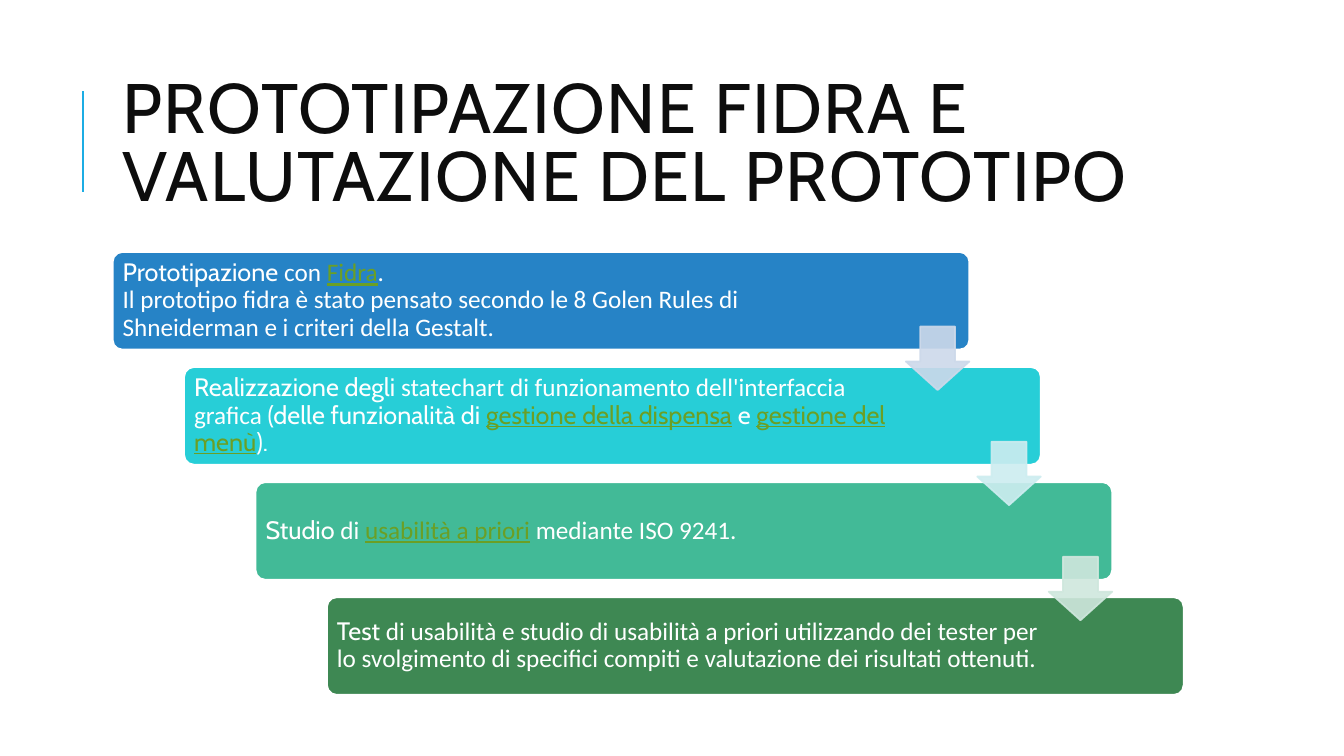
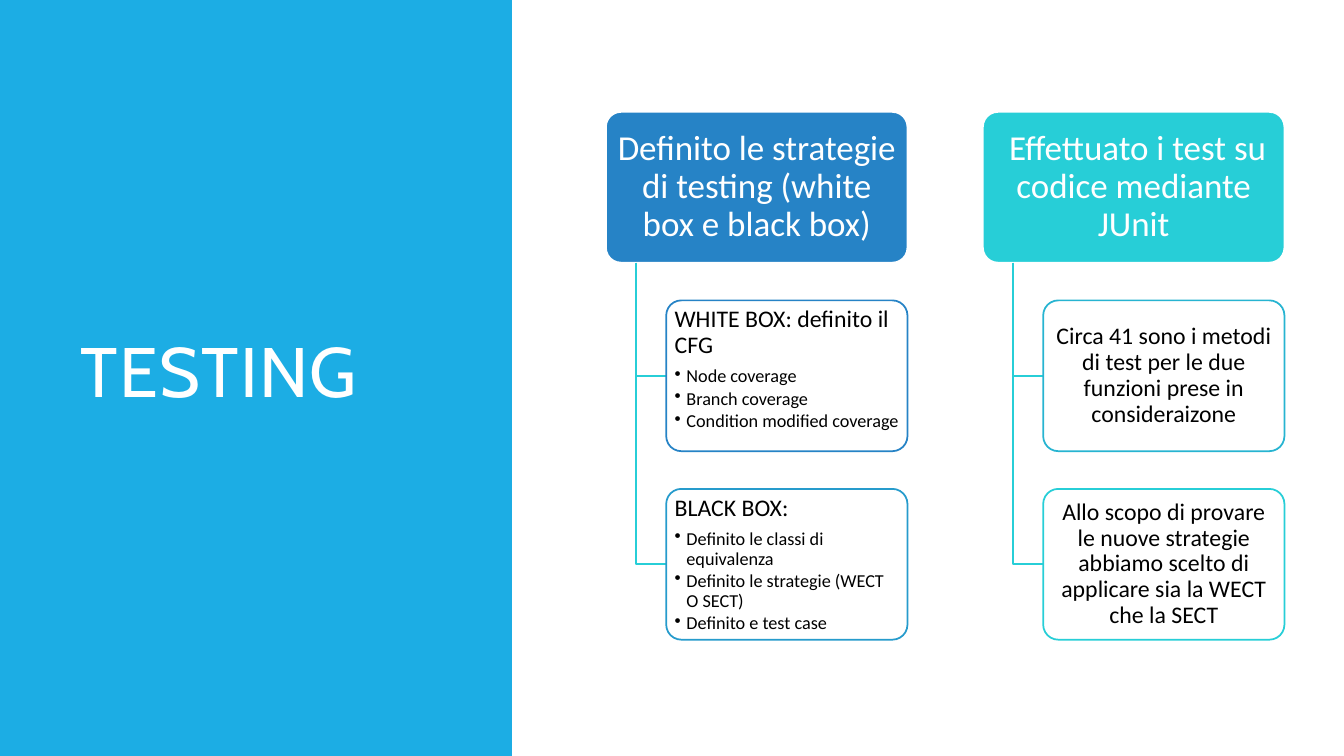
from pptx import Presentation
from pptx.dml.color import RGBColor
from pptx.enum.shapes import MSO_CONNECTOR, MSO_SHAPE
from pptx.enum.text import MSO_ANCHOR, PP_ALIGN
from pptx.oxml.ns import qn
from pptx.util import Cm, Pt
from lxml.etree import SubElement

COLORS = {
    "accent": "1CADE4", "title": "0D0D0D", "white": "FFFFFF", "black": "000000",
    "link": "6B9F25", "blue": "2683C6", "cyan": "27CED7", "teal": "42BA97",
    "green": "3E8853", "sky": "269BCC", "aqua": "27B4D1",
    "pale_blue": "CDD9EA", "pale_cyan": "CDEDF0", "pale_teal": "CFE7DD",
}
TITLE_FONT, BODY_FONT = "Cabin", "Calibri"

# Runs of a step are (text, font, is_link)
STEPS = [
    ("blue", 2.87, [
        [("Prototipazione", TITLE_FONT, False), (" con ", BODY_FONT, False),
         ("Fidra", BODY_FONT, True), (". ", BODY_FONT, False)],
        [("Il prototipo fidra è stato pensato secondo le 8 Golen Rules "
          "di Shneiderman e i criteri della Gestalt.", BODY_FONT, False)],
    ]),
    ("cyan", 3.57, [
        [("Realizzazione degli ", TITLE_FONT, False),
         ("statechart di funzionamento dell'interfaccia grafica", BODY_FONT, False),
         (" (delle funzionalità di ", TITLE_FONT, False),
         ("gestione della dispensa", TITLE_FONT, True), (" e ", TITLE_FONT, False),
         ("gestione del menù", TITLE_FONT, True), (").", TITLE_FONT, False)],
    ]),
    ("teal", 3.57, [
        [("Studio", TITLE_FONT, False), (" di ", BODY_FONT, False),
         ("usabilità a priori", BODY_FONT, True),
         (" mediante ISO 9241.", BODY_FONT, False)],
    ]),
    ("green", 3.57, [
        [("Test", TITLE_FONT, False),
         (" di usabilità e studio di usabilità a priori utilizzando dei tester "
          "per lo svolgimento di specifici compiti e valutazione dei risultati "
          "ottenuti.", BODY_FONT, False)],
    ]),
]
ARROW_COLORS = ["pale_blue", "pale_cyan", "pale_teal"]

# Each column is (heading, color, cards); each card is (text, bullets, outline)
COLUMNS = [
    ("Definito le strategie di testing (white box e black box)", "blue", [
        ("WHITE BOX: definito il CFG",
         ["Node coverage", "Branch coverage", "Condition modified coverage"], "blue"),
        ("BLACK BOX:",
         ["Definito le classi di equivalenza", "Definito le strategie (WECT O SECT)",
          "Definito e test case"], "sky"),
    ]),
    (" Effettuato i test su codice mediante JUnit", "cyan", [
        ("Circa 41 sono i metodi di test per le due funzioni prese in consideraizone",
         [], "aqua"),
        ("Allo scopo di provare le nuove strategie abbiamo scelto di applicare "
         "sia la WECT che la SECT", [], "cyan"),
    ]),
]


def rgb(name):
    return RGBColor.from_string(COLORS[name])


def add_block(slide, preset, box, fill, outline=None, adjustments=(), opacity=100):
    """Add a flat preset shape; box is left, top, width, height in cm."""
    block = slide.shapes.add_shape(preset, *map(Cm, box))
    block.shadow.inherit = False
    for index, value in enumerate(adjustments):
        block.adjustments[index] = value
    block.fill.solid()
    block.fill.fore_color.rgb = rgb(fill)
    if outline:
        block.line.color.rgb = rgb(outline)
        block.line.width = Pt(1.25)
    else:
        block.line.fill.background()
    if opacity < 100:
        for color in block._element.spPr.iter(qn("a:srgbClr")):
            SubElement(color, qn("a:alpha")).set("val", str(opacity * 1000))
    return block


def set_frame(shape, margins, anchor=MSO_ANCHOR.MIDDLE):
    """Set wrapping, anchor and margins (left, top, right, bottom in cm)."""
    frame = shape.text_frame
    frame.word_wrap = True
    frame.vertical_anchor = anchor
    (frame.margin_left, frame.margin_top,
     frame.margin_right, frame.margin_bottom) = map(Cm, margins)
    return frame


def style_paragraph(paragraph, size, color, font=None, align=PP_ALIGN.LEFT,
                    spacing=0.9, after=0):
    paragraph.alignment = align
    paragraph.line_spacing = spacing
    paragraph.space_after = Pt(after)
    paragraph.font.size = Pt(size)
    paragraph.font.color.rgb = rgb(color)
    if font:
        paragraph.font.name = font


def add_title(slide, text, box, color):
    title = slide.shapes.add_textbox(*map(Cm, box))
    paragraph = set_frame(title, (0.25, 0.13, 0.25, 0.13)).paragraphs[0]
    style_paragraph(paragraph, 50, color, TITLE_FONT, spacing=0.8)
    run = paragraph.add_run()
    run.text = text
    run.font._element.set("spc", "100")


def add_title_rule(slide, left, top, height):
    rule = slide.shapes.add_connector(
        MSO_CONNECTOR.STRAIGHT, Cm(left), Cm(top + height), Cm(left), Cm(top))
    rule.line.color.rgb = rgb("accent")
    rule.line.width = Pt(1.5)
    SubElement(rule._element.spPr, qn("a:effectLst"))


def add_step(slide, box, color, right_margin, lines):
    step = add_block(slide, MSO_SHAPE.ROUNDED_RECTANGLE, box, color, "white", [0.1])
    paragraph = set_frame(step, (0.18, 0.18, right_margin, 0.18)).paragraphs[0]
    style_paragraph(paragraph, 18, "white")
    for number, line in enumerate(lines):
        if number:
            paragraph.add_line_break()
        for text, font, is_link in line:
            run = paragraph.add_run()
            run.text = text
            run.font.name = font
            if is_link:
                run.font.color.rgb = rgb("link")
                run.font.underline = True


def add_staircase(slide, left, top):
    width, height, shift, pitch, arrow = 21.59, 2.46, 1.8, 2.9, 1.6
    for index, (color, right_margin, lines) in enumerate(STEPS):
        box = (left + index * shift, top + index * pitch, width, height)
        add_step(slide, box, color, right_margin, lines)
    for index, color in enumerate(ARROW_COLORS):
        box = (left + index * shift + width - arrow, top + index * pitch + 1.88,
               arrow, arrow)
        add_block(slide, MSO_SHAPE.DOWN_ARROW, box, color, color, [0.55, 0.45], 90)


def add_elbow(slide, left, top, width, height):
    """Draw a line going down and then right."""
    builder = slide.shapes.build_freeform(Cm(left), Cm(top))
    builder.add_line_segments(
        [(Cm(left), Cm(top + height)), (Cm(left + width), Cm(top + height))],
        close=False)
    elbow = builder.convert_to_shape()
    elbow.shadow.inherit = False
    elbow.fill.background()
    elbow.line.color.rgb = rgb("cyan")
    elbow.line.width = Pt(1.25)


def add_bullet(frame, text):
    bullet = frame.add_paragraph()
    bullet.text = text
    style_paragraph(bullet, 13, "black", BODY_FONT, after=2)
    properties = bullet._p.get_or_add_pPr()
    properties.set("marL", str(Cm(0.3)))
    properties.set("indent", str(-Cm(0.3)))
    mark = properties.makeelement(qn("a:buChar"), {"char": "•"})
    properties.find(qn("a:defRPr")).addprevious(mark)


def add_card(slide, box, text, bullets, outline):
    card = add_block(slide, MSO_SHAPE.ROUNDED_RECTANGLE, box, "white", outline, [0.1])
    frame = set_frame(card, (0.1, 0.06, 0.1, 0.06),
                      MSO_ANCHOR.TOP if bullets else MSO_ANCHOR.MIDDLE)
    lead = frame.paragraphs[0]
    lead.text = text
    style_paragraph(lead, 17, "black", BODY_FONT,
                    PP_ALIGN.LEFT if bullets else PP_ALIGN.CENTER, after=6)
    for bullet in bullets:
        add_bullet(frame, bullet)


def add_column(slide, left, top, heading, color, cards):
    width, height, pitch, indent = 7.6, 3.8, 4.75, 1.52
    head = add_block(slide, MSO_SHAPE.ROUNDED_RECTANGLE, (left, top, width, height),
                     color, "white", [0.1])
    paragraph = set_frame(head, (0.13, 0.08, 0.13, 0.08)).paragraphs[0]
    paragraph.text = heading
    style_paragraph(paragraph, 25, "white", BODY_FONT, PP_ALIGN.CENTER)
    for row, card in enumerate(cards, start=1):
        add_elbow(slide, left + indent / 2, top + height,
                  indent / 2, row * pitch - height / 2)
        add_card(slide, (left + indent, top + row * pitch, width - indent, height),
                 *card)


def build_prototype_slide(slide):
    add_title_rule(slide, 2.1, 2.29, 2.54)
    add_title(slide, "PROTOTIPAZIONE FIDRA E VALUTAZIONE DEL PROTOTIPO",
              (2.84, 1.63, 27, 4.17), "title")
    add_staircase(slide, 2.84, 6.35)


def build_testing_slide(slide):
    add_block(slide, MSO_SHAPE.RECTANGLE, (0, 0, 12.9, 19.05), "accent")
    add_title(slide, "TESTING", (1.78, 1.78, 9.5, 15.47), "white")
    for index, column in enumerate(COLUMNS):
        add_column(slide, 15.27 + index * 9.5, 2.82, *column)


def main():
    presentation = Presentation()
    presentation.slide_width = Cm(33.87)
    presentation.slide_height = Cm(19.05)
    blank = presentation.slide_layouts[6]
    for build in (build_prototype_slide, build_testing_slide):
        build(presentation.slides.add_slide(blank))
    presentation.save("out.pptx")


if __name__ == "__main__":
    main()
